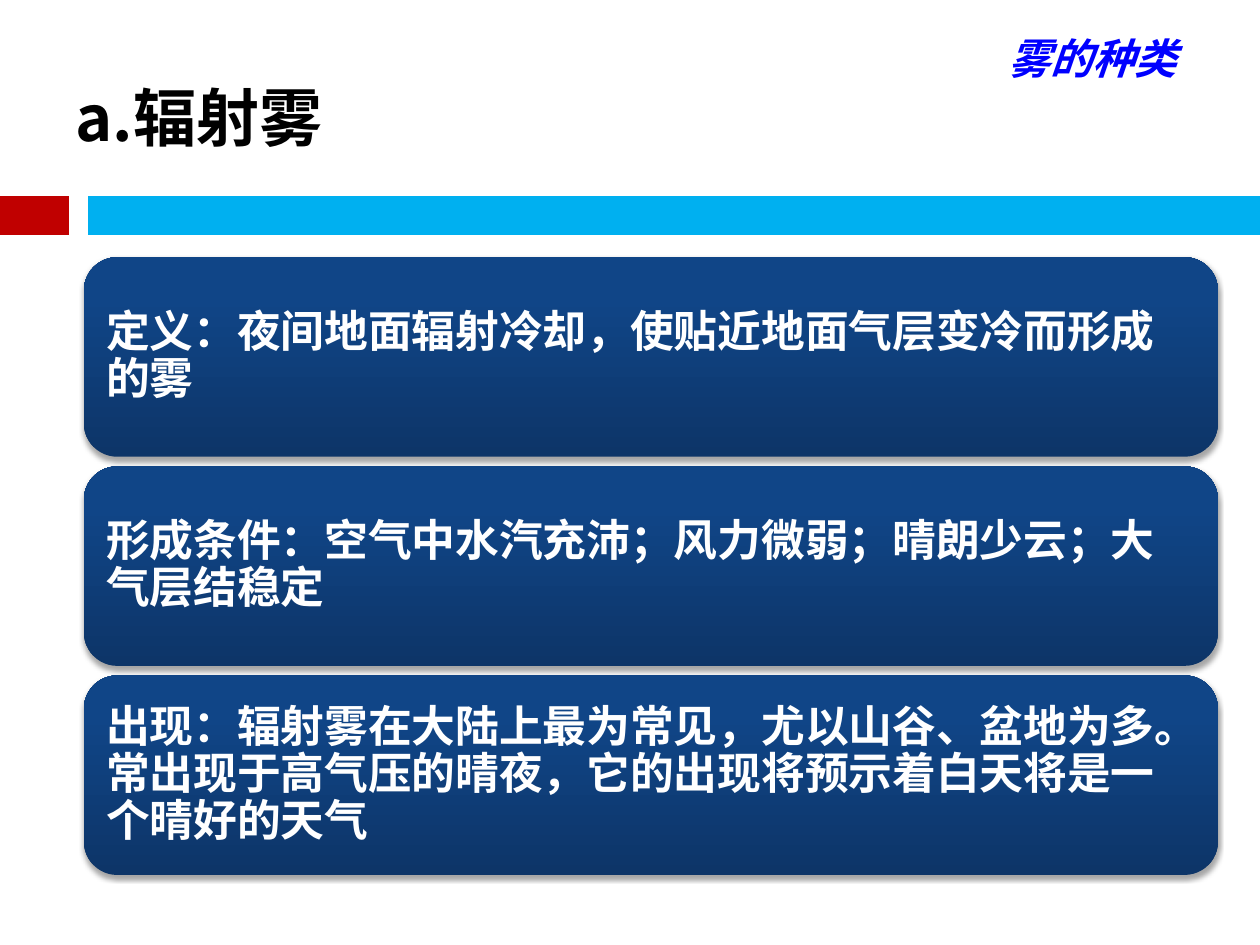
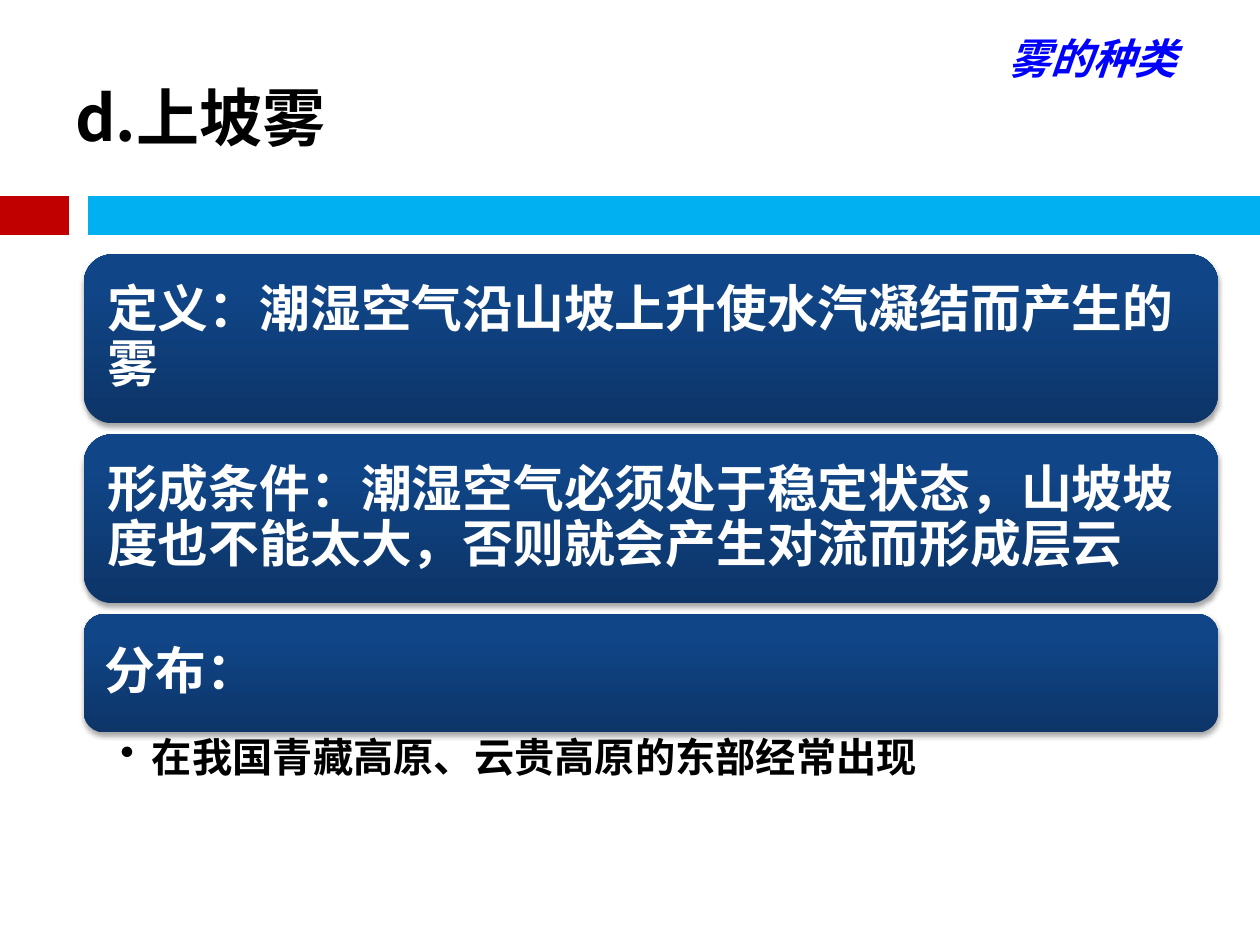
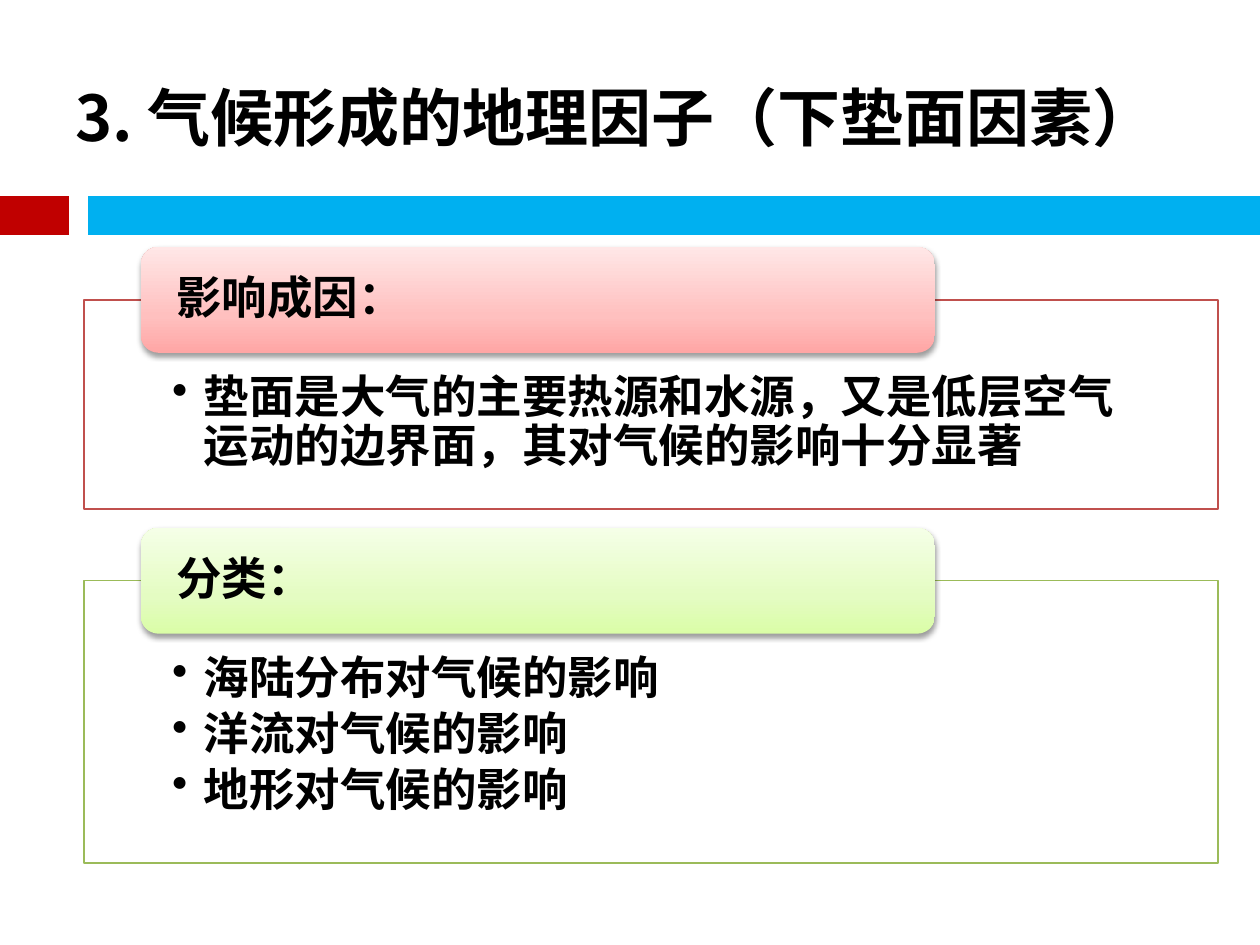
from pptx import Presentation
from pptx.dml.color import RGBColor
from pptx.enum import lang, shapes, text
from pptx.oxml import parse_xml
from pptx.oxml.ns import nsdecls, qn
from pptx.util import Pt

COLORS = {
    "black": "000000", "white": "FFFFFF", "label": "0000FF",
    "band_red": "C00000", "band_blue": "00B0F0",
    "panel_red": "C0504D", "panel_green": "9BBB59",
}
GRADIENTS = {
    "navy": [(0, "0D3568"), (80, "104587"), (100, "0E458A")],
    "red": [(0, "FFA6A5"), (35, "FFC0BF"), (100, "FFE7E7")],
    "green": [(0, "DAFDA7"), (35, "E4FCC2"), (100, "F5FFE7")],
}
TITLE_FONT, BODY_FONT, LABEL_FONT = "Noto Sans CJK SC", "Calibri", "Arial"
LEFT, WIDTH = 48, 648
TAB_LEFT, TAB_WIDTH, TAB_HEIGHT = 80.6, 453.6, 60.5
DEFAULT_INSETS = (7.2, 3.6, 7.2, 3.6)


def rgb(name):
    return RGBColor.from_string(COLORS[name])


class FogDeck:
    """Holds the shared style and the slide being filled."""

    def __init__(self):
        self.deck = Presentation()
        self.deck.slide_width, self.deck.slide_height = Pt(720), Pt(540)
        self.page = None

    def new_page(self, title, label=None):
        self.page = self.deck.slides.add_slide(self.deck.slide_layouts[6])
        self.band(0, 39.6, "band_red")
        self.band(50.4, 720, "band_blue")
        self.text_box((36, 21.6, 648, 90), [title], 36, font=TITLE_FONT)
        if label:
            self.text_box((569.5, 15.1, 132.5, 36), [label], 24,
                          font=LABEL_FONT, color="label", italic=True)

    def band(self, start, end, color):
        line = self.page.shapes.add_connector(
            shapes.MSO_CONNECTOR.STRAIGHT, Pt(start), Pt(123.1), Pt(end), Pt(123.1))
        line.line.color.rgb, line.line.width = rgb(color), Pt(22)
        line._element.spPr.append(parse_xml(f"<a:effectLst {nsdecls('a')}/>"))

    def set_text(self, shape, lines, size, font=BODY_FONT, color="black", italic=False,
                 insets=DEFAULT_INSETS, anchor=text.MSO_ANCHOR.MIDDLE,
                 spacing=None, after=0, bullet=False):
        """Fill a shape with one paragraph per line; after is a share of the size."""
        frame = shape.text_frame
        frame.word_wrap, frame.vertical_anchor = True, anchor
        for side, inset in zip(("left", "top", "right", "bottom"), insets):
            setattr(frame, f"margin_{side}", Pt(inset))
        para_format = {"alignment": text.PP_ALIGN.LEFT, "line_spacing": spacing,
                       "space_after": Pt(size * after)}
        font_format = {"name": font, "size": Pt(size), "bold": True, "italic": italic,
                       "language_id": lang.MSO_LANGUAGE_ID.SIMPLIFIED_CHINESE}
        for index, line in enumerate(lines):
            para = frame.add_paragraph() if index else frame.paragraphs[0]
            if bullet:
                props = para._p.get_or_add_pPr()
                props.set("marL", str(Pt(18)))
                props.set("indent", str(Pt(-18)))
                props.append(parse_xml(f'<a:buChar {nsdecls("a")} char="•"/>'))
            for name, value in para_format.items():
                setattr(para, name, value)
            span = para.add_run()
            span.text = line
            for name, value in font_format.items():
                setattr(span.font, name, value)
            span.font.color.rgb = rgb(color)
            span.font._element.append(
                parse_xml(f'<a:ea {nsdecls("a")} typeface="{font}"/>'))

    def text_box(self, place, lines, size, **style):
        box = self.page.shapes.add_textbox(*map(Pt, place))
        self.set_text(box, lines, size, **style)

    def add_shape(self, kind, place):
        shape = self.page.shapes.add_shape(kind, *map(Pt, place))
        shape.shadow.inherit = False
        return shape

    def card(self, place, line, size, gradient="navy", color="white",
             insets=DEFAULT_INSETS, opacity=35):
        """Rounded box with a vertical gradient and a soft shadow."""
        box = self.add_shape(shapes.MSO_SHAPE.ROUNDED_RECTANGLE, place)
        box.line.fill.background()
        stops = "".join(
            f'<a:gs pos="{position * 1000}"><a:srgbClr val="{value}"/></a:gs>'
            for position, value in GRADIENTS[gradient])
        props = box._element.spPr
        props.find(qn("a:prstGeom")).addnext(parse_xml(
            f'<a:gradFill {nsdecls("a")} rotWithShape="1"><a:gsLst>{stops}</a:gsLst>'
            '<a:lin ang="16200000" scaled="0"/></a:gradFill>'))
        props.find(qn("a:effectLst")).append(parse_xml(
            f'<a:outerShdw {nsdecls("a")} blurRad="{Pt(3.1)}" dist="{Pt(1.8)}" '
            f'dir="5400000" rotWithShape="0"><a:srgbClr val="{COLORS["black"]}">'
            f'<a:alpha val="{opacity * 1000}"/></a:srgbClr></a:outerShdw>'))
        self.set_text(box, [line], size, color=color, insets=insets,
                      spacing=0.9, after=0.35)

    def card_stack(self, top, gap, size, inset, cards):
        """Stack (text, height) cards downwards and return the last bottom edge."""
        for line, height in cards:
            self.card((LEFT, top, WIDTH, height), line, size, insets=[inset] * 4)
            top += height + gap
        return top - gap

    def panel(self, top, height, hue, heading, bullets):
        """Outlined bullet panel with a heading tab centred on its top edge."""
        box = self.add_shape(shapes.MSO_SHAPE.RECTANGLE, (LEFT, top, WIDTH, height))
        box.fill.solid()
        box.fill.fore_color.rgb = rgb("white")
        box.line.color.rgb, box.line.width = rgb(f"panel_{hue}"), Pt(0.75)
        self.set_text(box, bullets, 26, insets=(50.4, 42.5, 50.4, 14.4),
                      anchor=text.MSO_ANCHOR.TOP, spacing=0.9, after=0.15, bullet=True)
        self.card((TAB_LEFT, top - TAB_HEIGHT / 2, TAB_WIDTH, TAB_HEIGHT), heading, 26,
                  gradient=hue, color="black", insets=(17.3, 0, 17.3, 0), opacity=38)


def main():
    fog = FogDeck()

    fog.new_page("a.辐射雾", "雾的种类")
    fog.card_stack(147, 5.5, 25, 7.2, [
        ("定义：夜间地面辐射冷却，使贴近地面气层变冷而形成的雾", 114),
        ("形成条件：空气中水汽充沛；风力微弱；晴朗少云；大气层结稳定", 114),
        ("出现：辐射雾在大陆上最为常见，尤以山谷、盆地为多。常出现于高气压的晴夜，"
         "它的出现将预示着白天将是一个晴好的天气", 114),
    ])

    fog.new_page("d.上坡雾", "雾的种类")
    bottom = fog.card_stack(145.4, 6.3, 29, 8.6, [
        ("定义：潮湿空气沿山坡上升使水汽凝结而产生的雾", 96.5),
        ("形成条件：潮湿空气必须处于稳定状态，山坡坡度也不能太大，"
         "否则就会产生对流而形成层云", 96.5),
        ("分布：", 67.5),
    ])
    fog.text_box((LEFT, bottom, WIDTH, 38), ["在我国青藏高原、云贵高原的东部经常出现"], 23,
                 insets=(20.9, 2.9, 16.6, 2.9), anchor=text.MSO_ANCHOR.TOP,
                 spacing=0.9, after=0.2, bullet=True)

    fog.new_page("3. 气候形成的地理因子（下垫面因素）")
    fog.panel(171.4, 119.5, "red", "影响成因：", [
        "垫面是大气的主要热源和水源，又是低层空气运动的边界面，其对气候的影响十分显著"])
    fog.panel(331.9, 161.3, "green", "分类：", [
        f"{factor}对气候的影响" for factor in ("海陆分布", "洋流", "地形")])

    fog.deck.save("out.pptx")


if __name__ == "__main__":
    main()
